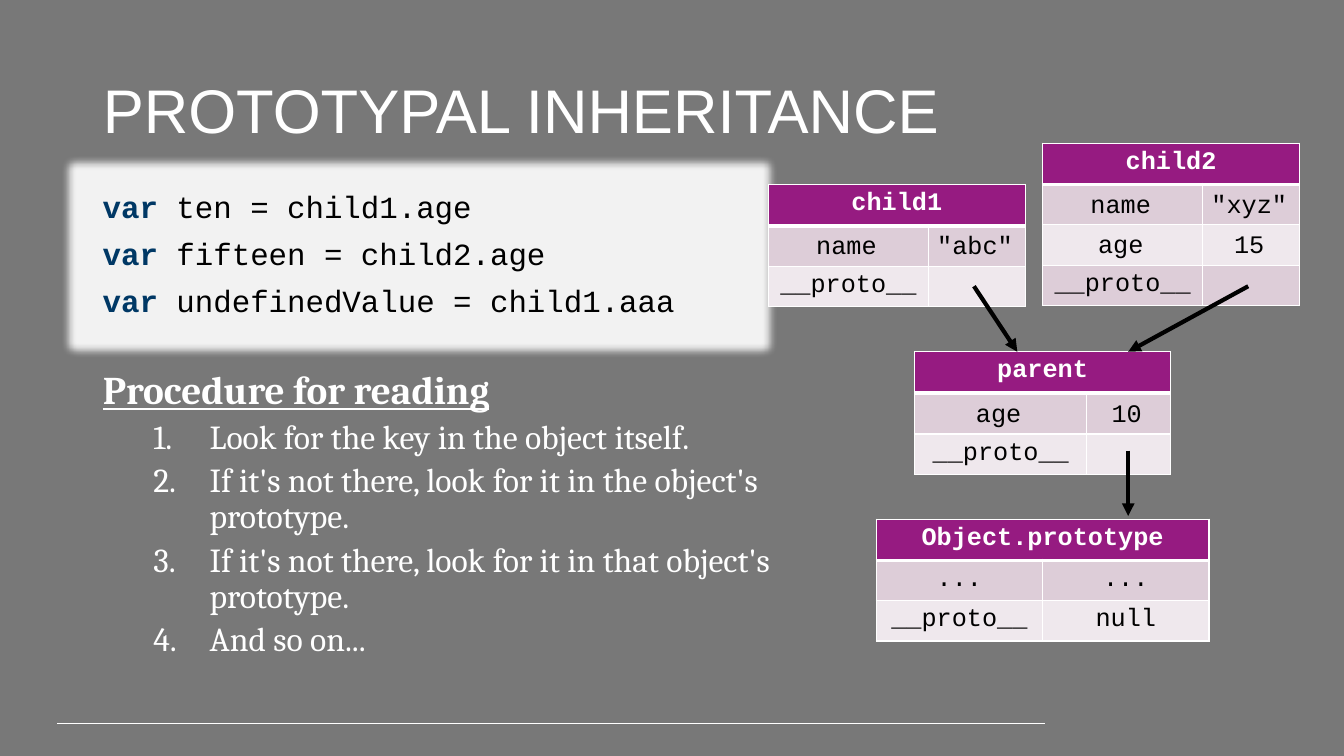
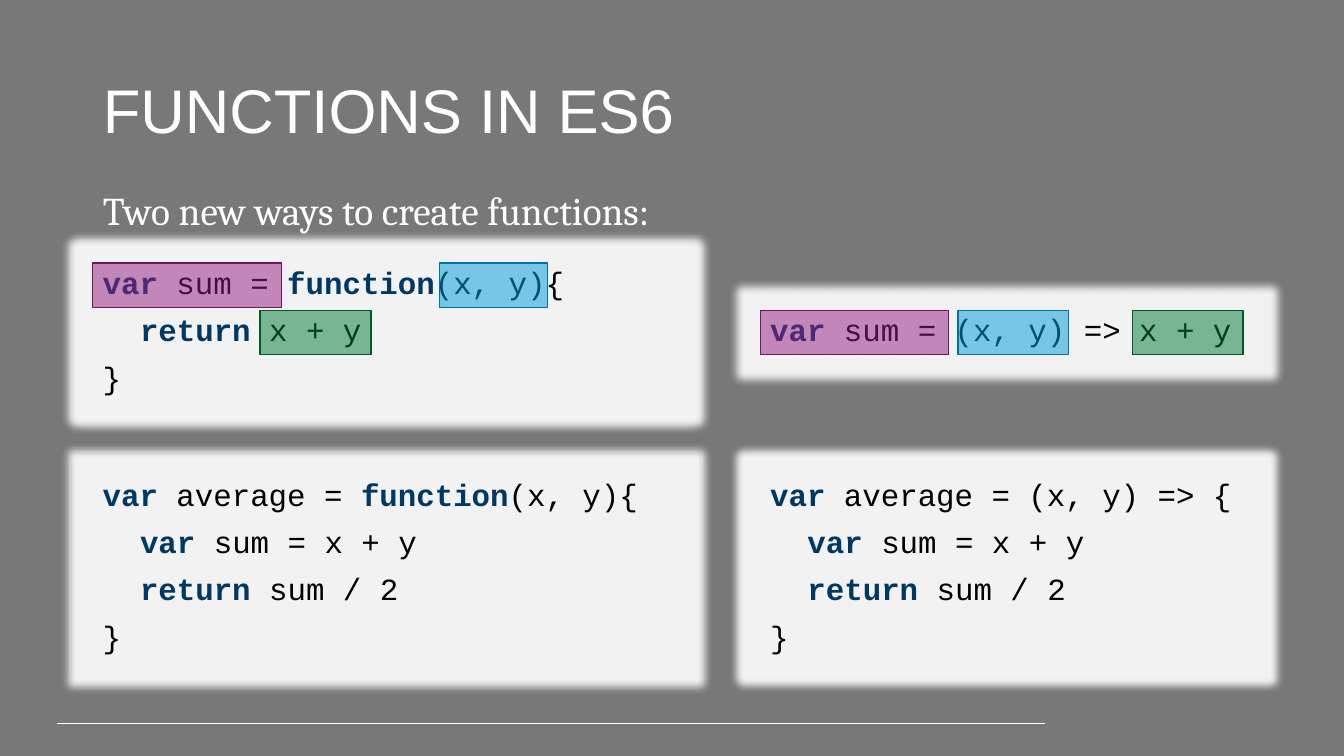
from dataclasses import dataclass

from lxml.etree import SubElement
from pptx import Presentation
from pptx.dml.color import RGBColor
from pptx.enum.shapes import MSO_CONNECTOR, MSO_SHAPE
from pptx.enum.text import MSO_ANCHOR, MSO_AUTO_SIZE, PP_ALIGN
from pptx.oxml.ns import qn
from pptx.util import Pt

PX = 9144  # EMU per px, 100 px to the inch
COLORS = {
    "background": "787878", "white": "FFFFFF", "black": "000000",
    "panel": "F2F2F2", "keyword": "003865",
    "header": "961B81", "odd row": "DDCDD8", "even row": "EFE8ED",
    "purple": "961B81", "purple edge": "6F145F", "blue": "009CDE",
    "blue edge": "0073A4", "green": "007A33", "green edge": "005A26",
}
TITLE_FONT, BODY_FONT, CODE_FONT = "Arial", "Cambria", "Courier New"
KEYWORDS = {"var", "function", "return"}
CODE_INDENT = 37
HEADER_HEIGHT, ROW_HEIGHT = 41, 40
LINE_HEIGHT = 44
Box = tuple[int, int, int, int]  # left, top, width, height


@dataclass(frozen=True)
class CodePanel:
    box: Box
    lines: tuple[str, ...]  # "|" separates keywords, leading ">" indents


@dataclass(frozen=True)
class ObjectTable:
    left: int
    top: int
    columns: tuple[int, int]
    name: str
    labels: tuple[tuple[str, str], ...]  # rows whose text floats over the cells
    rows: tuple[tuple[str, str], ...]


@dataclass(frozen=True)
class Highlight:
    left: int
    top: int
    width: int
    color: str


# Slide content
READING_CODE = CodePanel((92, 185, 647, 138), (
    "var| ten = child1.age", "var| fifteen = child2.age",
    "var| undefinedValue = child1.aaa"))
READING_STEPS = (
    "Look for the key in the object itself.",
    "If it's not there, look for it in the object's prototype.",
    "If it's not there, look for it in that object's prototype.",
    "And so on...",
)
LINK = (("__proto__", ""),)
OBJECT_TABLES = (
    ObjectTable(869, 515, (165, 165), "Object.prototype", (),
                (("...", "..."), ("__proto__", "null"))),
    ObjectTable(907, 349, (171, 83), "parent", (("age", "10"),), LINK),
    ObjectTable(762, 183, (159, 96), "child1", (("name", '"abc"'),), LINK),
    ObjectTable(1034, 142, (159, 96), "child2", (("name", '"xyz"'), ("age", "15")), LINK),
)
PROTOTYPE_ARROWS = (
    ((1119, 447), (1119, 512)),
    ((1238, 284), (1119, 349)),
    ((966, 284), (1009, 349)),
)
AVERAGE_BODY = (">var| sum = x + y", ">return| sum / 2", "}")
FUNCTION_PANELS = (
    CodePanel((754, 308, 488, 44), ("var| sum = (x, y) => x + y",)),
    CodePanel((92, 261, 582, 138), ("var| sum = |function|(x, y){", ">return| x + y", "}")),
    CodePanel((754, 471, 488, 185), ("var| average = (x, y) => {", *AVERAGE_BODY)),
    CodePanel((92, 471, 582, 185), ("var| average = |function|(x, y){", *AVERAGE_BODY)),
)
HIGHLIGHTS = (
    Highlight(754, 308, 187, "purple"), Highlight(92, 261, 187, "purple"),
    Highlight(950, 308, 110, "blue"), Highlight(436, 261, 107, "blue"),
    Highlight(1123, 308, 110, "green"), Highlight(258, 308, 110, "green"),
)


def emu(*lengths: int) -> list[int]:
    return [length * PX for length in lengths]


def rgb(name: str) -> RGBColor:
    return RGBColor.from_string(COLORS[name])


def style_run(run, font: str, size: int, color: str, bold: bool = False) -> None:
    run.font.name = font
    run.font.size = Pt(size)
    run.font.bold = bold
    run.font.color.rgb = rgb(color)


def move(shape, box: Box) -> None:
    shape.left, shape.top, shape.width, shape.height = emu(*box)


def space_paragraph(paragraph, before: int) -> None:
    paragraph.alignment = PP_ALIGN.LEFT
    paragraph.line_spacing = 0.9
    paragraph.space_before = Pt(before)


def indent_paragraph(paragraph, margin: int, first_line: int = 0):
    properties = paragraph._p.get_or_add_pPr()
    properties.set("marL", str(margin * PX))
    properties.set("indent", str(first_line * PX))
    return properties


def add_line(slide, start: tuple[int, int], end: tuple[int, int], color: str, width: float):
    line = slide.shapes.add_connector(MSO_CONNECTOR.STRAIGHT, *emu(*start, *end))
    line.line.color.rgb = rgb(color)
    line.line.width = Pt(width)
    SubElement(line.element.spPr, qn("a:effectLst"))
    return line


def add_rectangle(slide, box: Box, color: str):
    shape = slide.shapes.add_shape(MSO_SHAPE.RECTANGLE, *emu(*box))
    shape.shadow.inherit = False
    shape.fill.solid()
    shape.fill.fore_color.rgb = rgb(color)
    shape.line.fill.background()
    return shape


def add_code_panel(slide, panel: CodePanel) -> None:
    shape = add_rectangle(slide, panel.box, "panel")
    # Soft glow that widens the panel
    effects = shape.element.spPr.find(qn("a:effectLst"))
    glow = SubElement(effects, qn("a:glow"), rad=str(16 * PX))
    SubElement(glow, qn("a:srgbClr"), val=COLORS["panel"])
    frame = shape.text_frame
    frame.word_wrap = True
    frame.vertical_anchor = MSO_ANCHOR.TOP
    for index, line in enumerate(panel.lines):
        paragraph = frame.add_paragraph() if index else frame.paragraphs[0]
        space_paragraph(paragraph, 10)
        if line.startswith(">"):
            indent_paragraph(paragraph, CODE_INDENT)
        for part in line.lstrip(">").split("|"):
            run = paragraph.add_run()
            run.text = part
            is_keyword = part in KEYWORDS
            style_run(run, CODE_FONT, 22, "keyword" if is_keyword else "black", is_keyword)


def add_highlight(slide, item: Highlight) -> None:
    shape = add_rectangle(slide, (item.left, item.top, item.width, LINE_HEIGHT), item.color)
    shape.line.color.rgb = rgb(f"{item.color} edge")
    shape.line.width = Pt(1)
    fill_color = shape.element.spPr.find(qn("a:solidFill")).find(qn("a:srgbClr"))
    SubElement(fill_color, qn("a:alpha"), val="50000")


def write_centered(frame, text: str, is_header: bool = False) -> None:
    frame.text = text
    paragraph = frame.paragraphs[0]
    paragraph.alignment = PP_ALIGN.CENTER
    for run in paragraph.runs:
        style_run(run, CODE_FONT, 18, "white" if is_header else "black", is_header)


def style_cell(cell, row: int) -> None:
    properties = cell._tc.get_or_add_tcPr()
    for side in "LRTB":
        width = Pt(3 if (row, side) in ((0, "B"), (1, "T")) else 1)
        border = SubElement(properties, qn(f"a:ln{side}"), w=str(width))
        border_fill = SubElement(border, qn("a:solidFill"))
        SubElement(border_fill, qn("a:srgbClr"), val=COLORS["white"])
    cell.fill.solid()
    fill_name = "header" if row == 0 else "odd row" if row % 2 else "even row"
    cell.fill.fore_color.rgb = rgb(fill_name)


def add_object_table(slide, item: ObjectTable) -> None:
    rows = ((item.name, ""), *item.labels, *item.rows)
    height = HEADER_HEIGHT + (len(rows) - 1) * ROW_HEIGHT
    table = slide.shapes.add_table(
        len(rows), 2, *emu(item.left, item.top, sum(item.columns), height)).table
    for column, width in zip(table.columns, item.columns):
        column.width = width * PX
    for row, values in enumerate(rows):
        table.rows[row].height = (ROW_HEIGHT if row else HEADER_HEIGHT) * PX
        for column, value in enumerate(values):
            cell = table.cell(row, column)
            style_cell(cell, row)
            if values not in item.labels:
                write_centered(cell.text_frame, value, row == 0)
    table.cell(0, 0).merge(table.cell(0, 1))


def add_labels(slide, item: ObjectTable) -> None:
    for row, values in enumerate(item.labels):
        top = item.top + HEADER_HEIGHT + row * ROW_HEIGHT - 1
        for column, value in enumerate(values):
            left = item.left + sum(item.columns[:column]) - 2
            box = emu(left, top, item.columns[column], ROW_HEIGHT)
            frame = slide.shapes.add_textbox(*box).text_frame
            frame.word_wrap = True
            write_centered(frame, value)


def fill_body(slide, box: Box, heading: str, steps: tuple[str, ...] = ()) -> None:
    body = slide.placeholders[1]
    move(body, box)
    frame = body.text_frame
    frame.text = "\n".join((heading, *steps))
    frame.auto_size = MSO_AUTO_SIZE.NONE
    frame.vertical_anchor = MSO_ANCHOR.TOP
    heading_paragraph, *step_paragraphs = frame.paragraphs
    space_paragraph(heading_paragraph, 10)
    SubElement(indent_paragraph(heading_paragraph, 0), qn("a:buNone"))
    style_run(heading_paragraph.runs[0], BODY_FONT, 28, "white", bool(steps))
    heading_paragraph.runs[0].font.underline = bool(steps)
    for paragraph in step_paragraphs:
        paragraph.level = 1
        space_paragraph(paragraph, 5)
        properties = indent_paragraph(paragraph, 106, -56)
        SubElement(properties, qn("a:buFont"), typeface="+mj-lt")
        SubElement(properties, qn("a:buAutoNum"), type="arabicPeriod")
        style_run(paragraph.runs[0], BODY_FONT, 24, "white")


def add_titled_slide(presentation, layout, title: str):
    slide = presentation.slides.add_slide(layout)
    frame = slide.shapes.title.text_frame
    frame.text = title
    frame.auto_size = MSO_AUTO_SIZE.NONE
    frame.vertical_anchor = MSO_ANCHOR.MIDDLE
    space_paragraph(frame.paragraphs[0], 0)
    style_run(frame.paragraphs[0].runs[0], TITLE_FONT, 44, "white")
    return slide


def main() -> None:
    presentation = Presentation()
    presentation.slide_width, presentation.slide_height = emu(1333, 750)

    # Shared background, title place and footer rule
    background = presentation.slide_master.background.fill
    background.solid()
    background.fore_color.rgb = rgb("background")
    layout = presentation.slide_layouts[1]
    move(layout.placeholders[0], (92, 40, 1150, 145))

    # Prototypal inheritance
    slide = add_titled_slide(presentation, layout, "PROTOTYPAL INHERITANCE")
    footer_rule = add_line(slide, (57, 718), (1036, 718), "white", 0.75)
    layout.shapes.element.append(footer_rule.element)
    fill_body(slide, (92, 363, 755, 299), "Procedure for reading", READING_STEPS)
    add_code_panel(slide, READING_CODE)
    for item in OBJECT_TABLES:
        add_object_table(slide, item)
        add_labels(slide, item)
    for start, end in PROTOTYPE_ARROWS:
        arrow = add_line(slide, start, end, "black", 3)
        SubElement(arrow.element.spPr.find(qn("a:ln")), qn("a:tailEnd"), type="triangle")

    # Functions
    slide = add_titled_slide(presentation, layout, "FUNCTIONS IN ES6")
    fill_body(slide, (92, 185, 1150, 53), "Two new ways to create functions:")
    for panel in FUNCTION_PANELS:
        add_code_panel(slide, panel)
    for highlight in HIGHLIGHTS:
        add_highlight(slide, highlight)

    presentation.save("out.pptx")


if __name__ == "__main__":
    main()
